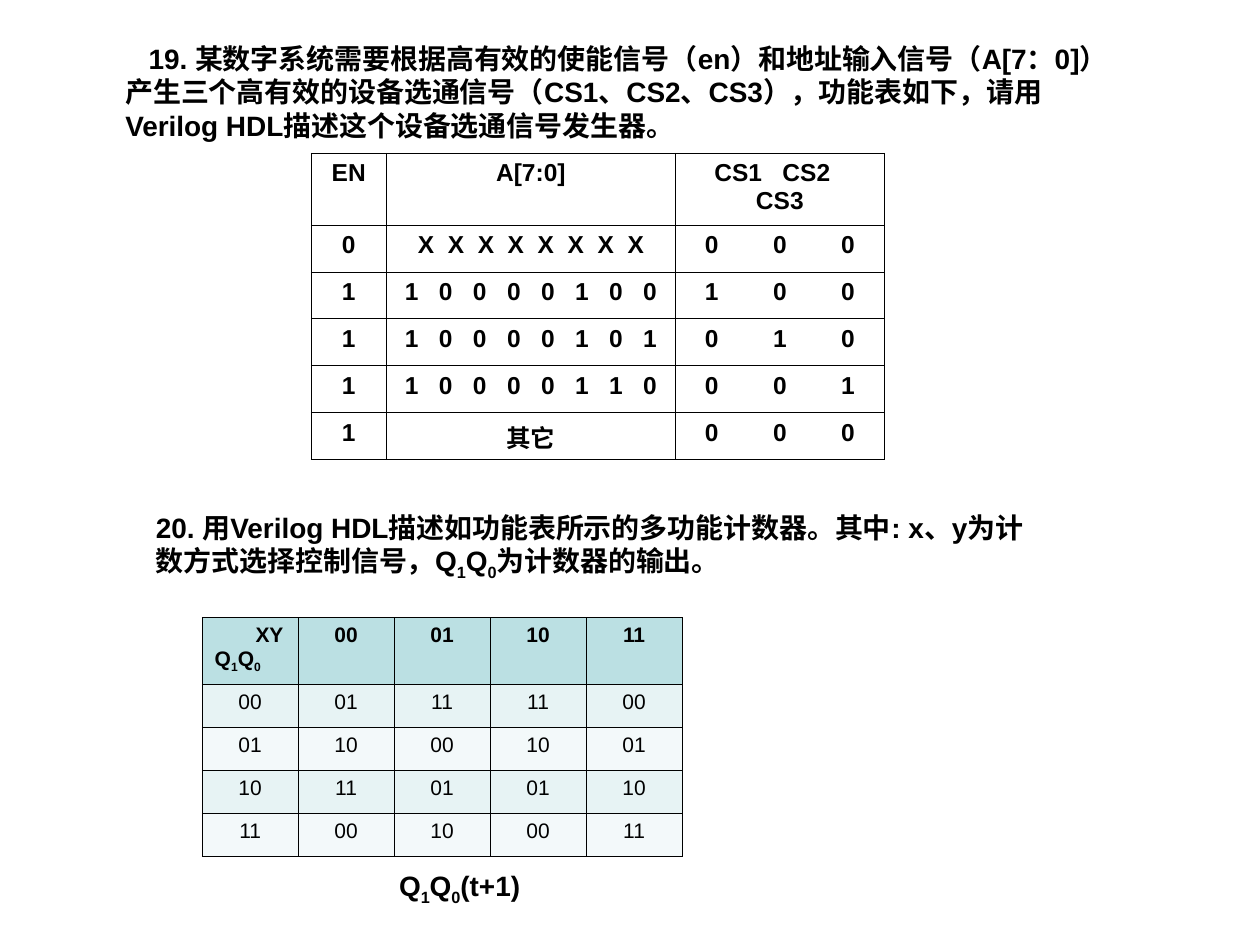
from lxml import etree
from pptx import Presentation
from pptx.dml import color
from pptx.enum import text
from pptx.oxml import ns
from pptx.util import Pt

BLACK = "000000"
HEADER_FILL = "BBE0E3"
BAND_FILLS = ("E7F3F4", "F3F9FA")
CENTER, LEFT = text.PP_ALIGN.CENTER, text.PP_ALIGN.LEFT
DIGIT_WIDTH, X_WIDTH, SPACE_WIDTH = 7.79, 9.34, 3.89


def rgb(value):
    return color.RGBColor.from_string(value)


def write_paragraph(paragraph, content, size, bold=True, align=LEFT, indent=0):
    """Write content, in which every second part between bars is a subscript."""
    paragraph.alignment = align
    if indent:
        properties = paragraph._p.get_or_add_pPr()
        properties.set("marL", "0")
        properties.set("indent", str(Pt(indent)))
    for position, part in enumerate(content.split("|")):
        run = paragraph.add_run()
        run.text = part
        run.font.size = Pt(size)
        run.font.bold = bold
        run.font.name = "Arial"
        run.font.color.rgb = rgb(BLACK)
        if position % 2:
            run.font._element.set("baseline", "-25000")


def add_tab_stops(paragraph, step, count):
    tab_list = etree.SubElement(paragraph._p.get_or_add_pPr(), ns.qn("a:tabLst"))
    for number in range(1, count + 1):
        etree.SubElement(tab_list, ns.qn("a:tab"), pos=str(Pt(step * number)), algn="l")


def add_text(slide, box, content, align=LEFT, indent=0):
    frame = slide.shapes.add_textbox(*map(Pt, box)).text_frame
    frame.word_wrap = True
    write_paragraph(frame.paragraphs[0], content, 16, align=align, indent=indent)


def style_cell(cell, fill=None):
    if fill:
        cell.fill.solid()
        cell.fill.fore_color.rgb = rgb(fill)
    else:
        cell.fill.background()
    properties = cell._tc.get_or_add_tcPr()
    for position, side in enumerate(("lnL", "lnR", "lnT", "lnB")):
        line = etree.Element(ns.qn("a:" + side), w=str(Pt(0.45)))
        solid = etree.SubElement(line, ns.qn("a:solidFill"))
        etree.SubElement(solid, ns.qn("a:srgbClr"), val=BLACK)
        properties.insert(position, line)


def add_grid(slide, left, top, widths, heights):
    frame = slide.shapes.add_table(len(heights), len(widths), Pt(left), Pt(top),
                                   Pt(sum(widths)), Pt(sum(heights)))
    table = frame.table
    table.first_row = table.horz_banding = False
    for column, width in zip(table.columns, widths):
        column.width = Pt(width)
    for row, height in zip(table.rows, heights):
        row.height = Pt(height)
    return table


def write_bits(cell, bits, width, spaces):
    """Spread the bits over tab stops, centred in a cell of the given width."""
    glyph = X_WIDTH if "X" in bits else DIGIT_WIDTH
    step = glyph + spaces * SPACE_WIDTH
    cell.margin_left = Pt((width - step * (len(bits) - 1) - glyph) / 2)
    cell.margin_right = 0
    paragraph = cell.text_frame.paragraphs[0]
    add_tab_stops(paragraph, step, len(bits) - 1)
    write_paragraph(paragraph, "\t".join(bits), 14)


def write_select_heading(cell):
    cell.margin_left = cell.margin_right = Pt(22.3)
    first = cell.text_frame.paragraphs[0]
    add_tab_stops(first, 38.9, 1)
    write_paragraph(first, "CS1\tCS2", 14)
    write_paragraph(cell.text_frame.add_paragraph(), "CS3", 14, align=CENTER)


def add_select_table(slide, left, top):
    widths = (43, 165.2, 119.4)
    rows = [("0", "XXXXXXXX", "000"), ("1", "10000100", "100"),
            ("1", "10000101", "010"), ("1", "10000110", "001"),
            ("1", "其它", "000")]
    table = add_grid(slide, left, top, widths, [41] + [26.8] * len(rows))
    for cell in table.iter_cells():
        style_cell(cell)
    for column, heading in enumerate(("EN", "A[7:0]")):
        write_paragraph(table.cell(0, column).text_frame.paragraphs[0],
                        heading, 14, align=CENTER)
    write_select_heading(table.cell(0, 2))
    for number, (enable, address, selects) in enumerate(rows, 1):
        cells = table.rows[number].cells
        write_paragraph(cells[0].text_frame.paragraphs[0], enable, 14, align=CENTER)
        if address == "其它":
            write_paragraph(cells[1].text_frame.paragraphs[0], address, 14, align=CENTER)
        else:
            write_bits(cells[1], address, widths[1], 2 if "X" in address else 3)
        write_bits(cells[2], selects, widths[2], 8)


def add_counter_table(slide, left, top):
    rows = [("", "00", "01", "10", "11"),
            ("00", "01", "11", "11", "00"),
            ("01", "10", "00", "10", "01"),
            ("10", "11", "01", "01", "10"),
            ("11", "00", "10", "00", "11")]
    table = add_grid(slide, left, top, [54.86] * 5, [38.4] + [24.6] * 4)
    for row_number, values in enumerate(rows):
        header = row_number == 0
        fill = HEADER_FILL if header else BAND_FILLS[(row_number - 1) % 2]
        for column, value in enumerate(values):
            cell = table.cell(row_number, column)
            style_cell(cell, fill)
            if value:
                write_paragraph(cell.text_frame.paragraphs[0], value, 12,
                                bold=header, align=CENTER)
    corner = table.cell(0, 0).text_frame
    write_paragraph(corner.paragraphs[0], "XY", 12, indent=23.3)
    write_paragraph(corner.add_paragraph(), "Q|1|Q|0", 12)


def main():
    presentation = Presentation()
    presentation.slide_width, presentation.slide_height = Pt(720), Pt(540)
    slide = presentation.slides.add_slide(presentation.slide_layouts[6])
    add_text(slide, (64.5, 20, 580, 65),
             "19. 某数字系统需要根据高有效的使能信号（en）和地址输入信号（A[7：0]）"
             "产生三个高有效的设备选通信号（CS1、CS2、CS3），功能表如下，"
             "请用Verilog HDL描述这个设备选通信号发生器。", indent=13.3)
    add_select_table(slide, 177.8, 87.6)
    add_text(slide, (82, 288, 512.6, 48),
             "20. 用Verilog HDL描述如功能表所示的多功能计数器。其中: x、y"
             "为计数方式选择控制信号，Q|1|Q|0|为计数器的输出。")
    add_counter_table(slide, 115.5, 352.8)
    add_text(slide, (203.6, 492.5, 118, 29.5), "Q|1|Q|0|(t+1)", align=CENTER)
    presentation.save("out.pptx")


if __name__ == "__main__":
    main()
